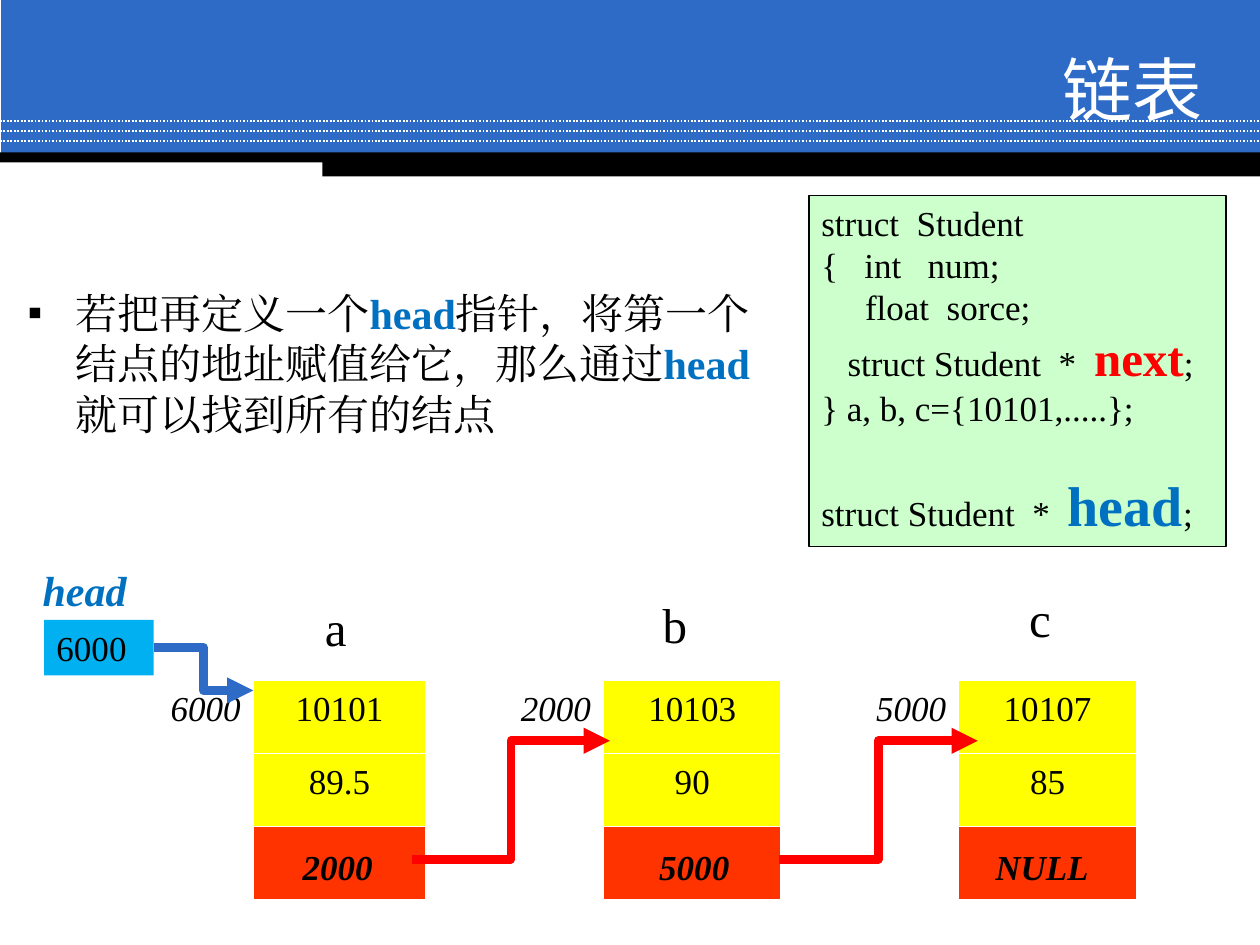
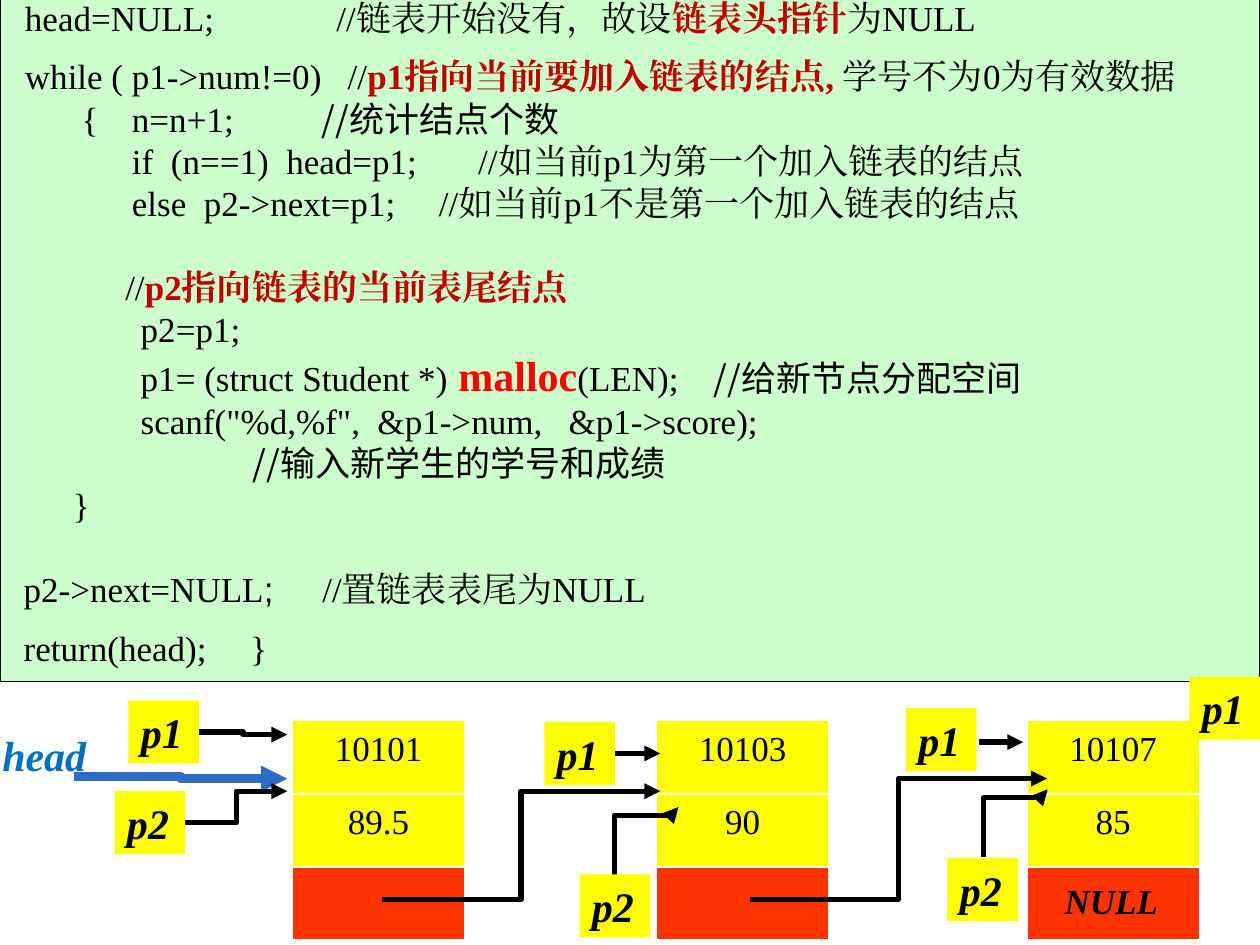
from lxml import etree
from pptx import Presentation
from pptx.dml.color import RGBColor
from pptx.enum.dml import MSO_LINE
from pptx.enum.shapes import MSO_CONNECTOR, MSO_SHAPE
from pptx.enum.text import MSO_ANCHOR, MSO_AUTO_SIZE, PP_ALIGN
from pptx.oxml.ns import qn
from pptx.util import Inches, Pt

RECTANGLE = MSO_SHAPE.RECTANGLE
STRAIGHT, ELBOW = MSO_CONNECTOR.STRAIGHT, MSO_CONNECTOR.ELBOW
LEFT, CENTER, RIGHT = PP_ALIGN.LEFT, PP_ALIGN.CENTER, PP_ALIGN.RIGHT
TOP, MIDDLE = MSO_ANCHOR.TOP, MSO_ANCHOR.MIDDLE
FIXED = MSO_AUTO_SIZE.NONE
DOTTED = MSO_LINE.ROUND_DOT

WHITE, BLACK, BLUE, SKY = "FFFFFF", "000000", "2D6BC7", "00B0F0"
YELLOW, ORANGE, MINT = "FFFF00", "FF3300", "CCFFCC"
RED, DARK_RED, HEAD_BLUE = "FF0000", "C00000", "0070C0"

PLAIN = {"name": "Times New Roman", "size": 20, "colour": BLACK, "bold": False, "italic": False}
SLANTED = {**PLAIN, "italic": True}
VALUE = {**SLANTED, "bold": True}
POINTER = {**VALUE, "size": 24}
HEAD = {**POINTER, "colour": HEAD_BLUE}
LETTER = {**PLAIN, "size": 28}
BODY = {**PLAIN, "size": 24}
TITLE = {**PLAIN, "name": "Arial", "size": 40, "colour": WHITE}
BLUE_BOLD = {"colour": HEAD_BLUE, "bold": True}
RED_BOLD = {"colour": RED, "bold": True}
NOTE_BOLD = {"colour": DARK_RED, "bold": True}
NOTE_FONT = {"name": "Noto Sans CJK SC"}


def paint(target, colour):
    if hasattr(target, "solid"):
        target.solid()
        target = target.fore_color
    target.rgb = RGBColor.from_string(colour)


def write(frame, lines, look, align=LEFT):
    for index, line in enumerate(lines):
        para = frame.add_paragraph() if index else frame.paragraphs[0]
        largest = 0
        for text, changes in line:
            values = {**look, **changes}
            largest = max(largest, values["size"])
            span = para.add_run()
            span.text = text
            paint(span.font.color, values.pop("colour"))
            values["size"] = Pt(values["size"])
            for name, value in values.items():
                setattr(span.font, name, value)
            asian = etree.SubElement(span.font._element, qn("a:ea"))
            asian.set("typeface", values["name"])
        layout = {"alignment": align, "line_spacing": Pt(1.2 * largest),
                  "space_before": Pt(0), "space_after": Pt(0)}
        for name, value in layout.items():
            setattr(para, name, value)


deck = Presentation()
deck.slide_width, deck.slide_height = Inches(10), Inches(7.5)
list_page = deck.slides.add_slide(deck.slide_layouts[1])
build_page = deck.slides.add_slide(deck.slide_layouts[6])

bands = []
for left, top, width, height, colour in [
    (0.01, 0, 9.99, 1.23, BLUE),
    (0, 1.21, 10, 0.08, BLACK),
    (2.56, 1.24, 7.44, 0.16, BLACK),
]:
    band = list_page.shapes.add_shape(RECTANGLE, *map(Inches, (left, top, width, height)))
    band.shadow.inherit = False
    paint(band.fill, colour)
    band.line.fill.background()
    bands.append(band)
for row in range(3):
    height = Inches(0.96 + 0.08 * row)
    rule = list_page.shapes.add_connector(STRAIGHT, 0, height, Inches(10), height)
    paint(rule.line.color, WHITE)
    rule.line.width = Pt(1)
    rule.line.dash_style = DOTTED
    etree.SubElement(rule.element.spPr, qn("a:effectLst"))
    bands.append(rule)
master_tree = deck.slide_master.shapes.element
for index, band in enumerate(bands):
    band.element.xpath(".//p:cNvPr")[0].set("id", str(101 + index))
    master_tree.insert(2 + index, band.element)

title, body = list_page.placeholders
for holder, place, anchor in [
    (title, (2.72, 0.41, 6.92, 0.58), MIDDLE),
    (body, (0.12, 2.1, 6.14, 1.92), TOP),
]:
    holder.left, holder.top, holder.width, holder.height = map(Inches, place)
    holder.text_frame.vertical_anchor = anchor
    holder.text_frame.auto_size = FIXED
    holder.text_frame.word_wrap = True
write(title.text_frame, [[("链表", {})]], TITLE, RIGHT)
body.text_frame.margin_top = Inches(0.18)
write(body.text_frame, [[
    ("若把再定义一个", {}), ("head", BLUE_BOLD),
    ("指针，将第一个结点的地址赋值给它，那么通过", {}), ("head", BLUE_BOLD),
    ("就可以找到所有的结点", {}),
]], BODY)
bullet_format = body.text_frame.paragraphs[0]._p.get_or_add_pPr()
bullet_format.set("marL", str(Inches(0.38)))
bullet_format.set("indent", str(-Inches(0.38)))
etree.SubElement(bullet_format, qn("a:buChar")).set("char", "▪")

struct_code = [
    (0, 0, [("struct  Student", {})]),
    (0, 0, [("{   int   num;", {})]),
    (0, 0, [("     float  sorce;", {})]),
    (0, 0, [("   struct Student  *  ", {}), ("next", {**RED_BOLD, "size": 28}), (";", {})]),
    (0, 0, [("} a, b, c={10101,.....};", {})]),
    (0, 24, [("struct Student  *  ", {}), ("head", {**BLUE_BOLD, "size": 32}), (";", {})]),
]
build_code = [
    (0.1, 0, [("head=NULL;              //链表开始没有，故设", {}),
              ("链表头指针", NOTE_BOLD), ("为NULL", {})]),
    (0.1, 9.6, [("while ( p1->num!=0)   //", {}),
                ("p1指向当前要加入链表的结点, ", NOTE_BOLD), ("学号不为0为有效数据", {})]),
    (0.48, 0, [(" {\t n=n+1;          ", {}), ("//统计结点个数", NOTE_FONT)]),
    (0.48, 0, [("\t if  (n==1)  head=p1;       //如当前p1为第一个加入链表的结点", {})]),
    (0.48, 0, [("\t else  p2->next=p1;     //如当前p1不是第一个加入链表的结点", {})]),
    (0.48, 24, [("      //", {}), ("p2指向链表的当前表尾结点", NOTE_BOLD)]),
    (0.48, 0, [("\t  p2=p1;", {})]),
    (0.48, 0, [("\t  p1= (struct Student *)", {}), (" malloc", {**RED_BOLD, "size": 24}),
               ("(LEN);    ", {}), ("//给新节点分配空间", NOTE_FONT)]),
    (0.48, 0, [('\t  scanf("%d,%f",  &p1->num,   &p1->score);', {})]),
    (0.48, 0, [("\t\t         ", {}), ("//输入新学生的学号和成绩", NOTE_FONT)]),
    (0.48, 0, [("}", {})]),
    (0.09, 24, [("p2->next=NULL", {}), (";     ", {"name": "Arial"}), ("//置链表表尾为NULL", {})]),
    (0.09, 9.6, [("return(head);     }", {})]),
]
for page, place, code in [
    (list_page, (6.42, 1.55, 3.31, 2.79), struct_code),
    (build_page, (0, -0.08, 10, 5.49), build_code),
]:
    box = page.shapes.add_shape(RECTANGLE, *map(Inches, place))
    box.shadow.inherit = False
    paint(box.fill, MINT)
    paint(box.line.color, BLACK)
    box.line.width = Pt(0.75)
    box.text_frame.word_wrap = True
    box.text_frame.vertical_anchor = TOP
    write(box.text_frame, [line for _, _, line in code], PLAIN)
    for para, (indent, gap, _) in zip(box.text_frame.paragraphs, code):
        para.space_before = Pt(gap)
        para_format = para._p.get_or_add_pPr()
        para_format.set("marL", str(Inches(indent)))
        para_format.set("indent", "0")
        para_format.set("defTabSz", str(Inches(0.4)))

nodes = [("6000", "10101", "89.5"), ("2000", "10103", "90"), ("5000", "10107", "85")]
chain_columns = []
for address, number, score in nodes:
    chain_columns += [(address, "", ""), (number, score, "")]
tables = [(list_page, 0.57, 5.4, [1.44, 1.37, 1.41, 1.41, 1.41, 1.41], chain_columns)]
for left, (_, number, score) in zip([2.32, 5.21, 8.15], nodes):
    tables.append((build_page, left, 5.72, [1.37], [(number, score, "")]))

for page, left, top, widths, columns in tables:
    frame = page.shapes.add_table(3, len(widths), *map(Inches, (left, top, sum(widths), 1.73)))
    table = frame.table
    table.first_row = table.horz_banding = False
    for row in table.rows:
        row.height = Inches(0.58)
    for column, (width, texts) in enumerate(zip(widths, columns)):
        table.columns[column].width = Inches(width)
        is_node = texts[1] != ""
        for row, text in enumerate(texts):
            cell = table.cell(row, column)
            if text:
                look, align = (PLAIN, CENTER) if is_node else (SLANTED, RIGHT)
                write(cell.text_frame, [[(text, {})]], look, align)
            if not is_node:
                cell.fill.background()
                continue
            paint(cell.fill, ORANGE if row == 2 else YELLOW)
            cell_format = cell._tc.get_or_add_tcPr()
            for index, side in enumerate(["a:lnT", "a:lnB"]):
                border = etree.Element(qn(side), w=str(Pt(1)))
                border_fill = etree.SubElement(border, qn("a:solidFill"))
                etree.SubElement(border_fill, qn("a:srgbClr")).set("val", WHITE)
                cell_format.insert(index, border)

arrows = [
    (list_page, RED, 5, (3.27, 6.82, 4.84, 5.88), False),
    (list_page, RED, 5, (6.18, 6.82, 7.76, 5.88), False),
    (list_page, BLUE, 5, (1.22, 5.14, 2.01, 5.48), False),
    (build_page, BLUE, 5, (0.59, 6.16, 2.28, 6.18), False),
    (build_page, BLACK, 3, (1.58, 5.81, 2.28, 5.83), False),
    (build_page, BLACK, 3, (1.47, 6.53, 2.28, 6.28), False),
    (build_page, BLACK, 3, (4.88, 5.98, 5.24, 5.98), False),
    (build_page, BLACK, 3, (3.03, 7.14, 5.24, 6.28), False),
    (build_page, BLACK, 3, (5.4, 6.93, 4.86, 6.42), True),
    (build_page, BLACK, 3, (7.77, 5.89, 8.12, 5.89), False),
    (build_page, BLACK, 3, (5.95, 7.14, 8.31, 6.18), False),
    (build_page, BLACK, 3, (8.33, 6.79, 7.79, 6.28), True),
]
for page, colour, weight, ends, turned in arrows:
    arrow = page.shapes.add_connector(ELBOW, *map(Inches, ends))
    paint(arrow.line.color, colour)
    arrow.line.width = Pt(weight)
    shape_format = arrow.element.spPr
    outline = shape_format.find(qn("a:ln"))
    etree.SubElement(outline, qn("a:round"))
    etree.SubElement(outline, qn("a:tailEnd")).set("type", "triangle")
    etree.SubElement(shape_format, qn("a:effectLst"))
    if turned:
        shape_format.find(qn("a:xfrm")).set("rot", "5400000")
        guides = shape_format.find(qn("a:prstGeom")).get_or_add_avLst()
        etree.SubElement(guides, qn("a:gd"), name="adj1", fmla="val 87900")

labels = [
    (list_page, "a", (2.48, 4.69, 0.39, 0.57), LETTER, LEFT, None),
    (list_page, "b", (5.16, 4.67, 0.39, 0.57), LETTER, LEFT, None),
    (list_page, "c", (8.07, 4.62, 0.39, 0.57), LETTER, LEFT, None),
    (list_page, "2000", (2.17, 6.66, 1.02, 0.44), VALUE, CENTER, None),
    (list_page, "5000", (5, 6.66, 1.02, 0.44), VALUE, CENTER, None),
    (list_page, "NULL", (7.76, 6.66, 1.02, 0.44), VALUE, CENTER, None),
    (list_page, "6000", (0.35, 4.92, 0.87, 0.44), PLAIN, LEFT, SKY),
    (list_page, "head", (0.24, 4.43, 1.14, 0.5), HEAD, LEFT, None),
    (build_page, "head", (-0.08, 5.74, 1.14, 0.5), HEAD, LEFT, None),
    (build_page, "NULL", (8.31, 6.93, 1.02, 0.44), VALUE, CENTER, None),
]
for name, left, top in [
    ("p1", 1.02, 5.56), ("p2", 0.91, 6.28), ("p1", 4.32, 5.73), ("p2", 4.6, 6.94),
    ("p2", 7.52, 6.81), ("p1", 7.19, 5.62), ("p1", 9.44, 5.37),
]:
    labels.append((build_page, name, (left, top, 0.56, 0.5), POINTER, LEFT, YELLOW))
for page, text, place, look, align, colour in labels:
    place = map(Inches, place)
    if colour:
        box = page.shapes.add_shape(RECTANGLE, *place)
        box.shadow.inherit = False
        paint(box.fill, colour)
        box.line.fill.background()
    else:
        box = page.shapes.add_textbox(*place)
    box.text_frame.word_wrap = True
    box.text_frame.vertical_anchor = TOP
    write(box.text_frame, [[(text, {})]], look, align)

deck.save("out.pptx")
